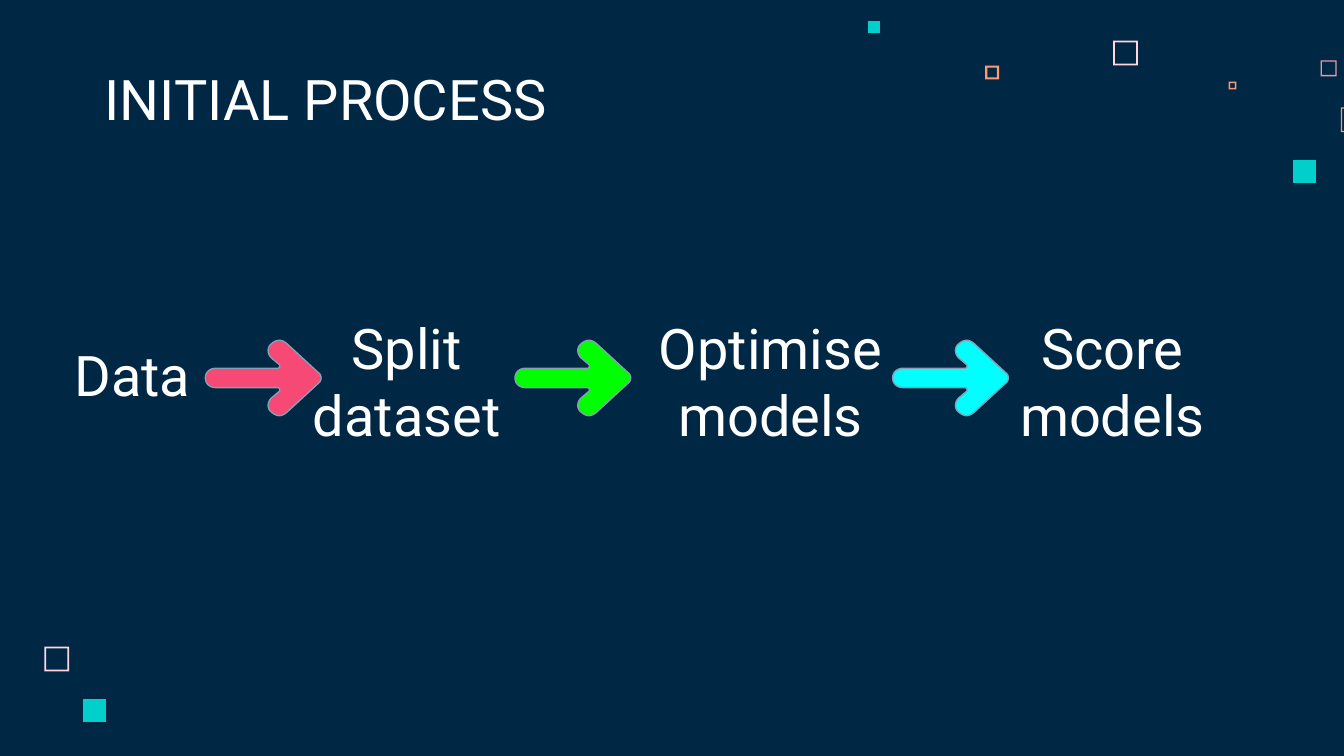
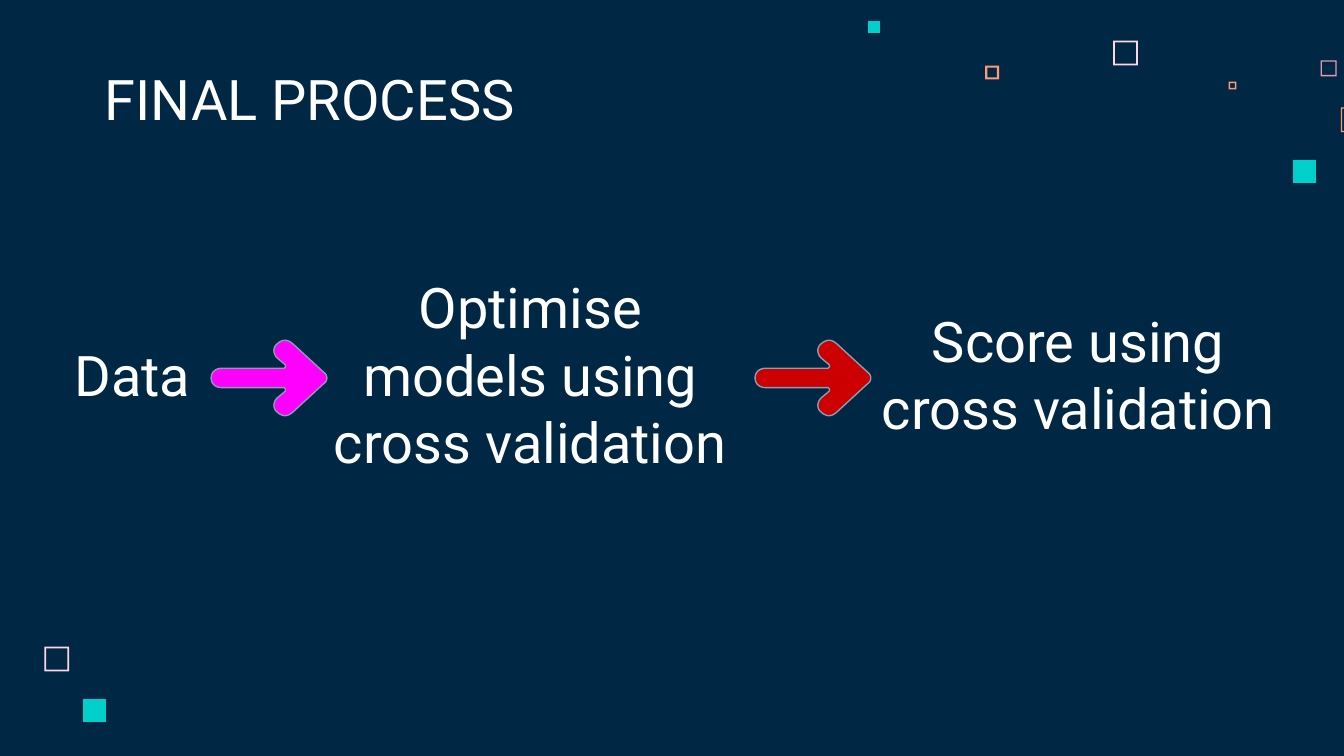
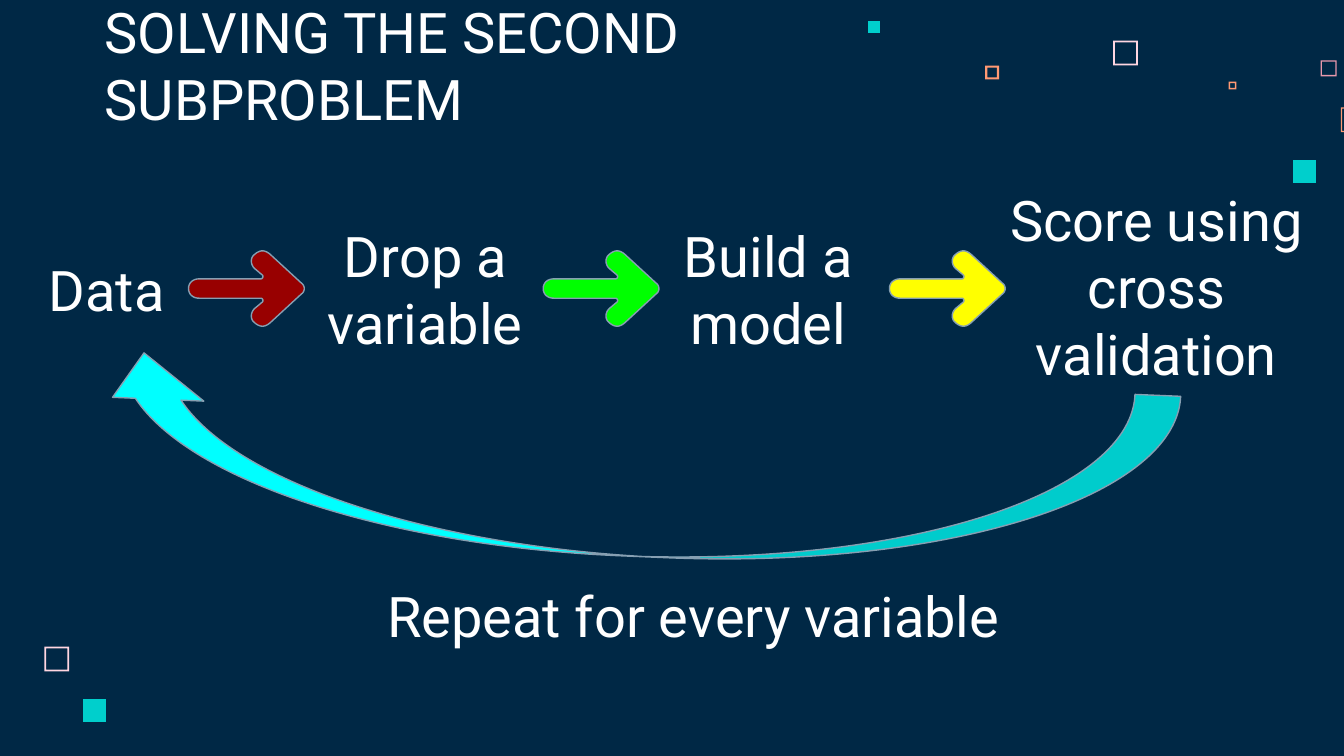
from pptx import Presentation
from pptx.dml.color import RGBColor as RGB
from pptx.enum.shapes import MSO_SHAPE as SHAPE
from pptx.enum.text import MSO_ANCHOR as ANCHOR, PP_ALIGN as ALIGN
from pptx.util import Pt

COLORS = {
    "night": "002845", "white": "FFFFFF", "outline": "869FB2",
    "blush": "FFD6E1", "rose": "E898AC", "orange": "FF9973", "teal": "00CFCC",
    "pink": "F64975", "green": "00FF00", "cyan": "00FFFF", "magenta": "FF00FF",
    "red": "CC0000", "maroon": "980000", "yellow": "FFFF00",
}
FRAME_FORMAT = {
    "word_wrap": True, "vertical_anchor": ANCHOR.BOTTOM,
    "margin_left": Pt(7.2), "margin_right": Pt(7.2),
    "margin_top": Pt(7.2), "margin_bottom": Pt(7.2),
}
FONT_FORMAT = {"name": "Roboto", "size": Pt(30), "bold": False}

FRAMES = [
    (596.4, 21.8, 13.2, 0.9, "blush"),
    (707.5, 32.3, 8.6, 0.7, "rose"),
    (658.2, 43.7, 4.2, 0.8, "orange"),
    (718.3, 57.6, 13.2, 0.7, "orange"),
    (527.8, 35.1, 7.4, 1.1, "orange"),
    (23.8, 346.5, 13.2, 0.9, "blush"),
]
SQUARES = [(692.7, 85.7, 12.3), (465, 11.3, 6.5), (44.5, 374.4, 12.3)]

ARROW_MIDDLE = 20.2
ARROW_START = (0, ARROW_MIDDLE)
ARROW_HALF = [
    [(0, 17.2), (2.2, 15), (5.8, 15)],
    [(38.9, 15)],
    [(39.6, 15), (40.3, 13.7), (39.6, 13)],
    [(35.3, 9.4)],
    [(33.1, 7.2), (33.1, 3.6), (35.3, 2)],
    [(36.7, 0.7), (38.2, 0), (39.6, 0)],
    [(41, 0), (42.5, 0.7), (43.9, 2)],
    [(60.5, 17.3)],
    [(61.5, 18), (62, 19), (62, ARROW_MIDDLE)],
]


def apply(target, values):
    for name, value in values.items():
        setattr(target, name, value)


def rgb(color):
    return RGB.from_string(COLORS[color])


def paint(sp, fill, line=None):
    sp.shadow.inherit = False
    sp.fill.solid()
    sp.fill.fore_color.rgb = rgb(fill)
    if line:
        sp.line.color.rgb = rgb(line)
        sp.line.width = Pt(0.75)
    else:
        sp.line.fill.background()


def outline(s, *contours):
    contours = [[(Pt(x), Pt(y)) for x, y in points] for points in contours]
    builder = s.shapes.build_freeform(*contours[0][0])
    builder.add_line_segments(contours[0][1:])
    for points in contours[1:]:
        builder.move_to(*points[0])
        builder.add_line_segments(points[1:])
    return builder.convert_to_shape()


def corners(x, y, size):
    return [(x, y), (x, y + size), (x + size, y + size), (x + size, y)]


def add_decor(s):
    for x, y, size, edge, color in FRAMES:
        hole = corners(x + edge, y + edge, size - 2 * edge)[::-1]
        paint(outline(s, hole, corners(x, y, size)), color)
    for x, y, size in SQUARES:
        paint(outline(s, corners(x, y, size)), "teal")


def bezier(start, controls, steps=8):
    nodes = [start, *controls]
    for i in range(1, steps + 1):
        t = i / steps
        weights = ((1 - t) ** 3, 3 * t * (1 - t) ** 2, 3 * t * t * (1 - t), t ** 3)
        yield tuple(sum(w * n[axis] for w, n in zip(weights, nodes)) for axis in (0, 1))


def arrow_points():
    points = [ARROW_START]
    for segment in ARROW_HALF:
        points += segment if len(segment) == 1 else bezier(points[-1], segment)
    lower = [(x, 2 * ARROW_MIDDLE - y) for x, y in points[-2:0:-1]]
    return points + lower


def add_arrow(s, left, top, color):
    points = [(left + x, top + y) for x, y in arrow_points()]
    paint(outline(s, points), color, "outline")


def add_text(s, text, left, top, width, height, align=ALIGN.CENTER):
    tf = s.shapes.add_textbox(Pt(left), Pt(top), Pt(width), Pt(height)).text_frame
    apply(tf, FRAME_FORMAT)
    p = tf.paragraphs[0]
    p.alignment = align
    r = p.add_run()
    r.text = text
    apply(r.font, FONT_FORMAT)
    r.font.color.rgb = rgb("white")


def add_return_arrow(s):
    sp = s.shapes.add_shape(SHAPE.CURVED_RIGHT_ARROW, Pt(291.6), Pt(-41), Pt(97.9), Pt(580.3))
    sp.rotation = 92.4
    sp._element.spPr.xfrm.set("flipH", "1")
    paint(sp, "cyan", "outline")


def add_process(prs, title, steps, arrow_top, arrows, title_width=372.2):
    s = prs.slides.add_slide(prs.slide_layouts[6])
    add_decor(s)
    add_text(s, title, 49, 32.4, title_width, 45.4, ALIGN.LEFT)
    for step in steps:
        add_text(s, *step)
    for left, color in arrows:
        add_arrow(s, left, arrow_top, color)
    return s


def main():
    prs = Presentation()
    prs.slide_width, prs.slide_height = Pt(720), Pt(405)
    fill = prs.slide_master.background.fill
    fill.solid()
    fill.fore_color.rgb = rgb("night")

    add_process(prs, "INITIAL PROCESS", [
        ("Data", 28.8, 180, 84.2, 45.4),
        ("Split dataset", 147.4, 157.7, 141.1, 89.3),
        ("Optimise models", 328.2, 157.7, 169.2, 89.3),
        ("Score models", 536.2, 157.7, 119.5, 89.3),
    ], 182.3, [(110, "pink"), (275.9, "green"), (478.2, "cyan")])

    add_process(prs, "FINAL PROCESS", [
        ("Data", 28.8, 180, 84.2, 45.4),
        ("Optimise models using cross validation", 164.2, 144, 239.8, 117.4),
        ("Score using cross validation", 455.8, 162, 243.4, 81.4),
    ], 182.3, [(113.1, "magenta"), (404.5, "red")])

    s = add_process(prs, "SOLVING THE SECOND SUBPROBLEM", [
        ("Data", 15.1, 134.6, 84.2, 45.4),
        ("Drop a variable", 164.9, 116.6, 126, 81.4),
        ("Build a model", 348.5, 116.6, 126, 81.4),
        ("Score using cross validation", 531.4, 95, 176.4, 119.5),
        ("Repeat for every variable", 181.4, 309.6, 380.2, 45.4),
    ], 134.4, [(101, "maroon"), (291, "green"), (476.5, "yellow")], 507.6)
    add_return_arrow(s)

    prs.save("out.pptx")


if __name__ == "__main__":
    main()
